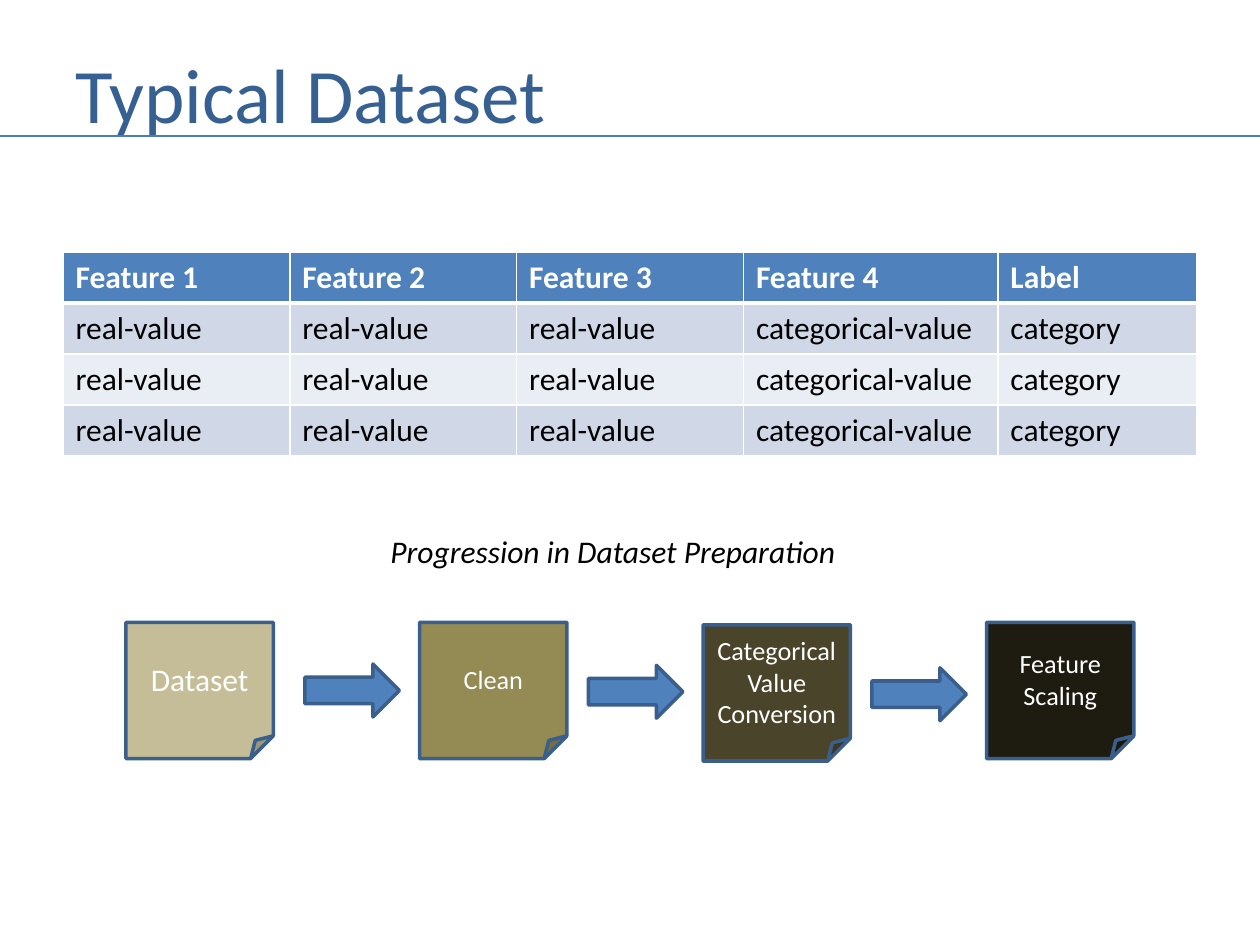
"""Builds the Typical Dataset slide."""
import pptx
import pptx.util
import pptx.dml.color
import pptx.enum.shapes
import pptx.enum.text
import pptx.oxml
import pptx.oxml.ns
import lxml.etree

Inches, Pt = pptx.util.Inches, pptx.util.Pt
Shape = pptx.enum.shapes.MSO_SHAPE
Align = pptx.enum.text.PP_ALIGN
Anchor = pptx.enum.text.MSO_ANCHOR

TITLE = "Typical Dataset"
CAPTION = "Progression in Dataset Preparation"
HEAD = ["Feature 1", "Feature 2", "Feature 3", "Feature 4", "Label"]
ROWS = [["real-value"] * 3 + ["categorical-value", "category"]] * 3
WIDTHS = [1.8, 1.8, 1.8, 2.02, 1.58]
BLUE, EDGE = "4F81BD", "3A5F8C"
BANDS = ["D0D8E8", "E9EDF4"]
STEPS = [
    ("Dataset", 1, 4.94, "C4BD97", 18),
    ("Clean", 3.33, 4.94, "948A54", 15),
    ("Categorical Value Conversion", 5.58, 4.96, "4A452A", 15),
    ("Feature Scaling", 7.83, 4.94, "1E1C11", 15),
]
ARROWS = [(2.42, 5.27), (4.67, 5.28), (6.92, 5.3)]


def color(code):
    return pptx.dml.color.RGBColor.from_string(code)


def write(frame, text, size, code, bold=False, italic=False, align=Align.LEFT):
    frame.text = text
    para = frame.paragraphs[0]
    para.alignment = align
    font = para.runs[0].font
    font.name, font.size = "Calibri", Pt(size)
    font.bold, font.italic = bold, italic
    font.color.rgb = color(code)


def label(box, text, size, code, wrap=True, anchor=Anchor.TOP, italic=False):
    frame = slide.shapes.add_textbox(*map(Inches, box)).text_frame
    frame.word_wrap, frame.vertical_anchor = wrap, anchor
    write(frame, text, size, code, italic=italic)
    return frame


def block(kind, box, fill):
    shape = slide.shapes.add_shape(kind, *map(Inches, box))
    shape.shadow.inherit = False
    shape.fill.solid()
    shape.fill.fore_color.rgb = color(fill)
    shape.line.color.rgb = color(EDGE)
    shape.line.width = Pt(2)
    return shape


def border(cell, low):
    props = cell._tc.get_or_add_tcPr()
    space = pptx.oxml.ns.nsdecls("a")
    for spot, (side, width) in enumerate(zip("LRTB", (1, 1, 1, low))):
        props.insert(spot, pptx.oxml.parse_xml(
            f'<a:ln{side} {space} w="{Pt(width)}"><a:solidFill>'
            f'<a:srgbClr val="FFFFFF"/></a:solidFill></a:ln{side}>'))


deck = pptx.Presentation()
deck.slide_width, deck.slide_height = Inches(10), Inches(7.5)
slide = deck.slides.add_slide(deck.slide_layouts[6])

label((0.5, 0.3, 6.33, 0.87), TITLE, 44, "376092", anchor=Anchor.MIDDLE)

data = [HEAD] + ROWS
grid = slide.shapes.add_table(
    len(data), len(HEAD), *map(Inches, (0.5, 2, 9, 1.62))).table
for col, width in zip(grid.columns, WIDTHS):
    col.width = Inches(width)
for i, row in enumerate(data):
    top = i == 0
    for j, text in enumerate(row):
        cell = grid.cell(i, j)
        cell.fill.solid()
        cell.fill.fore_color.rgb = color(BLUE if top else BANDS[(i - 1) % 2])
        write(cell.text_frame, text, 18, "FFFFFF" if top else "000000", top)
        border(cell, 3 if top else 1)

rule = slide.shapes.add_connector(
    pptx.enum.shapes.MSO_CONNECTOR.STRAIGHT,
    *map(Inches, (0, 1.08, 10, 1.08)))
rule.line.color.rgb = color("4B7EBC")
rule.line.width = Pt(1.5)
lxml.etree.SubElement(
    rule._element.spPr, pptx.oxml.ns.qn("a:effectLst"))

for text, left, top, fill, size in STEPS:
    note = block(Shape.FOLDED_CORNER, (left, top, 1.17, 1.08), fill)
    note.text_frame.word_wrap = True
    note.text_frame.vertical_anchor = Anchor.MIDDLE
    write(note.text_frame, text, size, "FFFFFF", align=Align.CENTER)
for left, top in ARROWS:
    block(Shape.RIGHT_ARROW, (left, top, 0.75, 0.42), BLUE)

frame = label((3, 4.17, 3.75, 0.4), CAPTION, 18, "000000",
              wrap=False, italic=True)
frame.auto_size = pptx.enum.text.MSO_AUTO_SIZE.SHAPE_TO_FIT_TEXT

deck.save("out.pptx")
